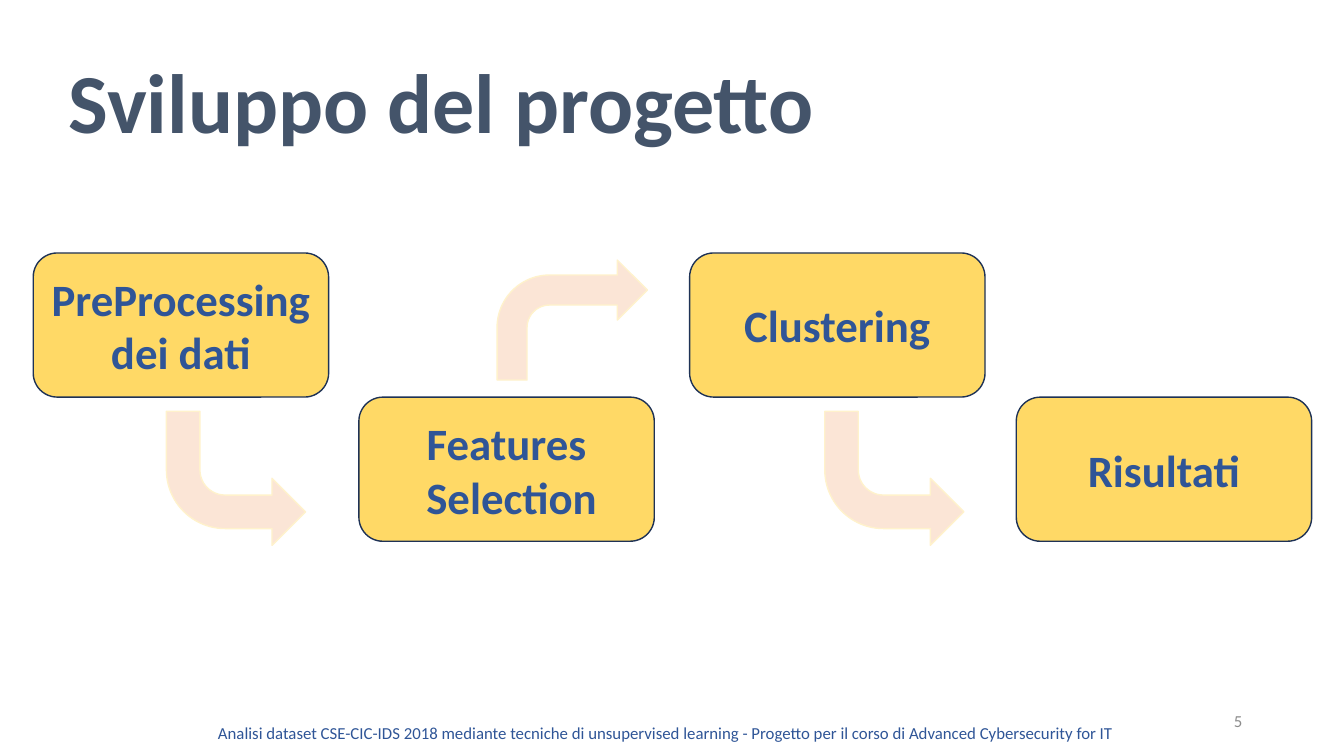
from dataclasses import dataclass

import pptx
import pptx.dml.color
import pptx.enum.shapes
import pptx.enum.text
import pptx.oxml.ns
import pptx.util
from pptx.util import Inches

SHAPES = pptx.enum.shapes.MSO_SHAPE
ALIGN = pptx.enum.text.PP_ALIGN
ANCHOR = pptx.enum.text.MSO_ANCHOR
BLUE = "2F5597"
STEP_WIDTH, STEP_HEIGHT = 2.93, 1.43
UPPER_ROW, LOWER_ROW = 2.51, 3.94


@dataclass
class Step:
    text: str
    left: float
    top: float


@dataclass
class Arrow:
    left: float
    top: float
    width: float
    height: float
    downward: bool


@dataclass
class Label:
    text: str
    left: float
    top: float
    width: float
    height: float
    size: int
    color: str
    align: ALIGN
    anchor: ANCHOR = ANCHOR.MIDDLE
    bold: bool = False
    line_spacing: float = 1.0


STEPS = [
    Step("PreProcessing dei dati", 0.33, UPPER_ROW),
    Step("Features\v Selection", 3.56, LOWER_ROW),
    Step("Clustering", 6.84, UPPER_ROW),
    Step("Risultati", 10.08, LOWER_ROW),
]
ARROWS = [
    Arrow(4.93, 2.58, 1.49, 1.19, False),
    Arrow(8.18, 4.08, 1.38, 1.33, True),
    Arrow(1.65, 4.08, 1.38, 1.33, True),
]
LABELS = [
    Label("Sviluppo del progetto", 0.58, 0.56, 12.06, 1.42, 60, "44546A",
          ALIGN.LEFT, ANCHOR.TOP, True, 0.9),
    Label("5", 9.42, 6.95, 3, 0.4, 12, "8C8C8C", ALIGN.RIGHT),
    Label("Analisi dataset CSE-CIC-IDS 2018 mediante tecniche di unsupervised learning"
          " - Progetto per il corso di Advanced Cybersecurity for IT",
          1.97, 7.24, 9.27, 0.06, 12, BLUE, ALIGN.CENTER),
]


def rgb(color: str) -> pptx.dml.color.RGBColor:
    return pptx.dml.color.RGBColor.from_string(color)


def paint(shape, fill: str, line: str) -> None:
    shape.shadow.inherit = False
    shape.fill.solid()
    shape.fill.fore_color.rgb = rgb(fill)
    shape.line.color.rgb = rgb(line)
    shape.line.width = pptx.util.Pt(1)


def write(shape, text: str, size: int, color: str, align: ALIGN,
          anchor: ANCHOR, bold: bool, line_spacing: float = 1.0) -> None:
    frame = shape.text_frame
    frame.word_wrap = True
    frame.vertical_anchor = anchor
    paragraph = frame.paragraphs[0]
    paragraph.text = text
    paragraph.alignment = align
    paragraph.line_spacing = line_spacing
    paragraph.font.name = "Calibri"
    paragraph.font.size = pptx.util.Pt(size)
    paragraph.font.bold = bold
    paragraph.font.color.rgb = rgb(color)


def draw_step(page, step: Step) -> None:
    box = page.shapes.add_shape(
        SHAPES.FLOWCHART_ALTERNATE_PROCESS, Inches(step.left), Inches(step.top),
        Inches(STEP_WIDTH), Inches(STEP_HEIGHT))
    paint(box, "FFD966", "1E3256")
    write(box, step.text, 32, BLUE, ALIGN.CENTER, ANCHOR.MIDDLE, True)


def draw_arrow(page, arrow: Arrow) -> None:
    shape = page.shapes.add_shape(
        SHAPES.BENT_ARROW, Inches(arrow.left), Inches(arrow.top),
        Inches(arrow.width), Inches(arrow.height))
    paint(shape, "FBE5D6", "FFF2CC")
    if arrow.downward:
        shape.rotation = 180
        frame = shape.element.spPr.find(pptx.oxml.ns.qn("a:xfrm"))
        frame.set("flipH", "1")


def draw_label(page, label: Label) -> None:
    box = page.shapes.add_textbox(
        Inches(label.left), Inches(label.top),
        Inches(label.width), Inches(label.height))
    write(box, label.text, label.size, label.color, label.align,
          label.anchor, label.bold, label.line_spacing)


def main() -> None:
    deck = pptx.Presentation()
    deck.slide_width, deck.slide_height = Inches(13.33), Inches(7.5)
    page = deck.slides.add_slide(deck.slide_layouts[6])
    for step in STEPS:
        draw_step(page, step)
    for arrow in ARROWS:
        draw_arrow(page, arrow)
    for label in LABELS:
        draw_label(page, label)
    deck.save("out.pptx")


if __name__ == "__main__":
    main()
